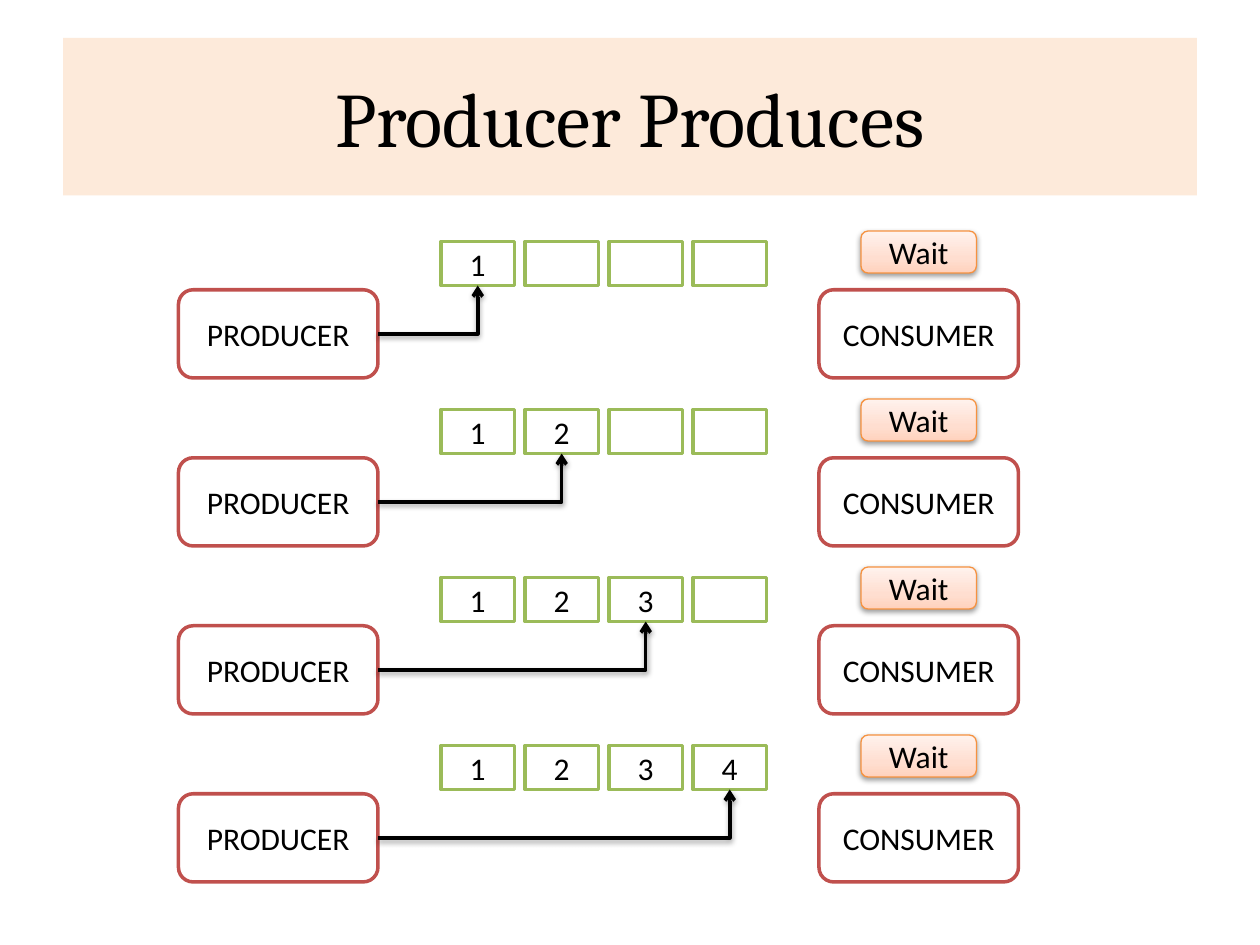
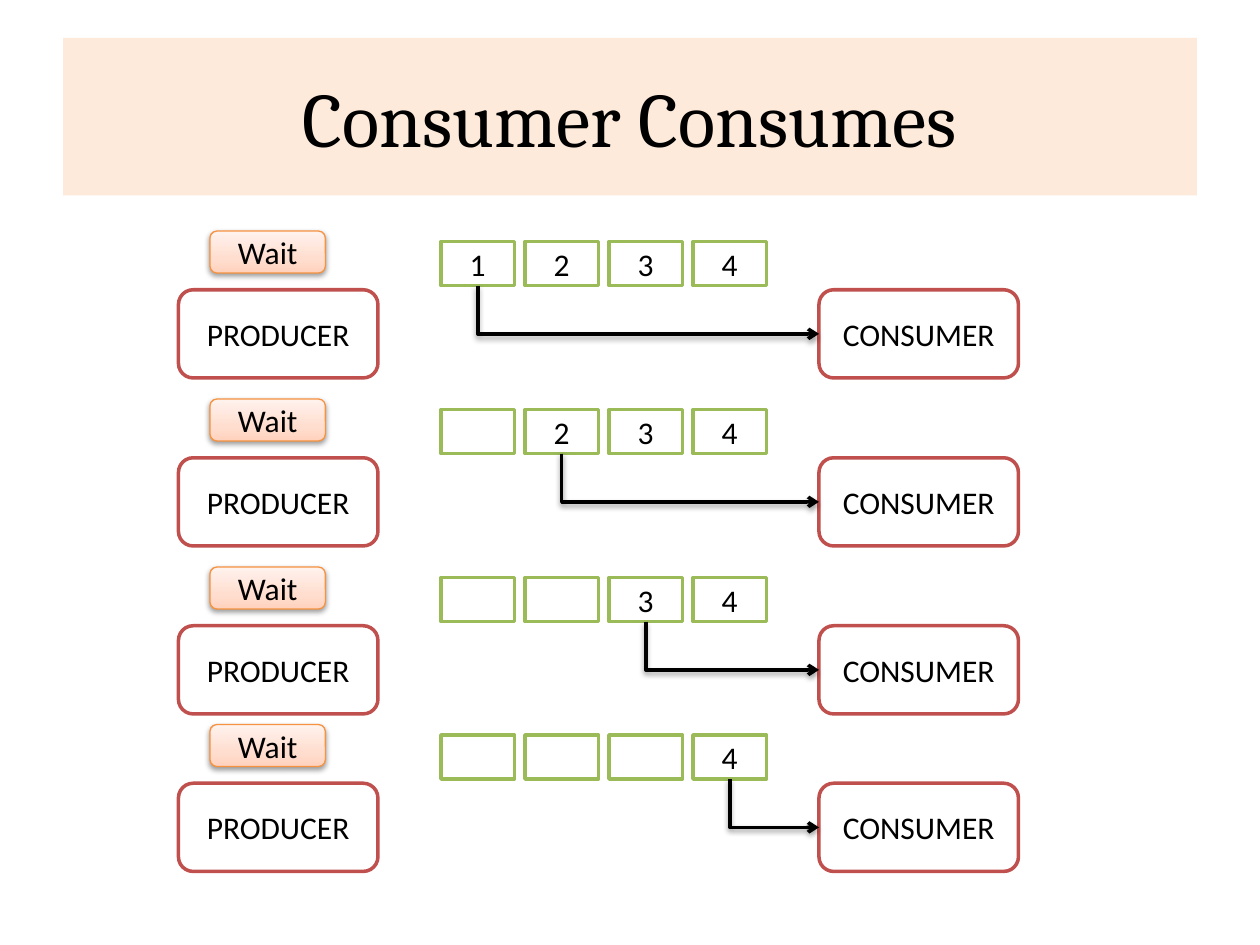
from dataclasses import dataclass

from lxml import etree
from pptx import Presentation
from pptx.dml.color import RGBColor
from pptx.enum.shapes import MSO_CONNECTOR, MSO_SHAPE
from pptx.enum.text import MSO_ANCHOR, PP_ALIGN
from pptx.oxml import parse_xml
from pptx.oxml.ns import qn
from pptx.util import Emu, Pt

RECT = MSO_SHAPE.RECTANGLE
ROUND = MSO_SHAPE.ROUNDED_RECTANGLE
ELBOW = MSO_CONNECTOR.ELBOW
CENTER = PP_ALIGN.CENTER
MIDDLE = MSO_ANCHOR.MIDDLE
BOTTOM, LEFT, RIGHT = 2, 1, 3  # connection sites
TITLE_ONLY = 5  # layout index
NS = 'xmlns:a="http://schemas.openxmlformats.org/drawingml/2006/main"'


@dataclass(frozen=True)
class Theme:
    title_font: str = "Cambria"
    body_font: str = "Calibri"
    title_size: int = 44
    body_size: int = 18
    text: str = "000000"
    paper: str = "FFFFFF"
    band: str = "FDEADA"
    actor: str = "C0504D"
    slot: str = "9BBB59"
    wait: str = "F69240"
    wait_stops: tuple = ((0, "FFD2BD"), (35, "FFDED0"), (100, "FFF2ED"))
    line: float = 2
    thin: float = 0.75


def px(n):
    """120 px to the inch."""
    return Emu(n * 7620)


def rgb(value):
    return RGBColor.from_string(value)


class Deck:
    def __init__(self, theme):
        self.theme = theme
        self.prs = Presentation()
        self.prs.slide_width, self.prs.slide_height = px(1200), px(900)
        self.s = None
        self.group = None

    def slide(self, title):
        t = self.theme
        self.s = self.prs.slides.add_slide(self.prs.slide_layouts[TITLE_ONLY])
        sp = self.s.shapes.title
        sp.left, sp.top, sp.width, sp.height = map(px, (60, 36, 1080, 150))
        sp.fill.solid()
        sp.fill.fore_color.rgb = rgb(t.band)
        self.label(sp, title, t.title_font, t.title_size)

    def start_group(self):
        self.group = self.s.shapes.add_group_shape().shapes

    def label(self, sp, text, font, size):
        tf = sp.text_frame
        tf.word_wrap = True
        tf.vertical_anchor = MIDDLE
        p = tf.paragraphs[0]
        p.text = text
        p.alignment = CENTER
        p.font.name, p.font.size = font, Pt(size)
        p.font.color.rgb = rgb(self.theme.text)

    def box(self, kind, x, y, w, h, text, color, width):
        t = self.theme
        sp = self.group.add_shape(kind, px(x), px(y), px(w), px(h))
        sp.shadow.inherit = False
        sp.fill.solid()
        sp.fill.fore_color.rgb = rgb(t.paper)
        sp.line.color.rgb = rgb(color)
        sp.line.width = Pt(width)
        if text:
            self.label(sp, text, t.body_font, t.body_size)
        return sp

    def actor(self, x, y, text):
        return self.box(ROUND, x, y, 190, 84, text, self.theme.actor, self.theme.line)

    def slot(self, x, y, text):
        return self.box(RECT, x, y, 70, 42, text, self.theme.slot, self.theme.line)

    def wait(self, x, y):
        t = self.theme
        sp = self.box(ROUND, x, y, 110, 40, "Wait", t.wait, t.thin)
        stops = "".join(f'<a:gs pos="{pos * 1000}"><a:srgbClr val="{color}"/></a:gs>'
                        for pos, color in t.wait_stops)
        gradient = parse_xml(f'<a:gradFill {NS} rotWithShape="1"><a:gsLst>{stops}</a:gsLst>'
                             '<a:lin ang="16200000" scaled="0"/></a:gradFill>')
        spPr = sp._element.spPr
        spPr.replace(spPr.find(qn("a:solidFill")), gradient)
        self.cast_shadow(spPr)

    def cast_shadow(self, spPr):
        effects = spPr.find(qn("a:effectLst"))
        if effects is None:
            effects = etree.SubElement(spPr, qn("a:effectLst"))
        effects.append(parse_xml(
            f'<a:outerShdw {NS} blurRad="40000" dist="20000" dir="5400000" rotWithShape="0">'
            '<a:srgbClr val="000000"><a:alpha val="38000"/></a:srgbClr></a:outerShdw>'))

    def arrow(self, start, start_site, end, end_site):
        """One-bend arrow that joins two boxes."""
        cxn = self.group.add_connector(ELBOW, 0, 0, 0, 0)
        cxn.begin_connect(start, start_site)
        cxn.end_connect(end, end_site)
        spPr = cxn._element.spPr
        spPr.find(qn("a:prstGeom")).set("prst", "bentConnector2")
        if start_site == BOTTOM:  # leaves downwards: turn the box about its centre
            x, y, w, h = cxn.left, cxn.top, cxn.width, cxn.height
            cxn.left, cxn.top = x + (w - h) // 2, y + (h - w) // 2
            cxn.width, cxn.height = h, w
            xfrm = spPr.find(qn("a:xfrm"))
            xfrm.set("rot", "16200000")
            xfrm.set("flipH", "1")
        cxn.line.color.rgb = rgb(self.theme.text)
        cxn.line.width = Pt(self.theme.line)
        etree.SubElement(spPr.find(qn("a:ln")), qn("a:tailEnd"), type="arrow")
        self.cast_shadow(spPr)

    def step(self, top, active, producing):
        """One row: producer, four-slot buffer and consumer."""
        self.start_group()
        producer = self.actor(170, top + 56, "PRODUCER")
        consumer = self.actor(780, top + 56, "CONSUMER")
        slots = []
        for i in range(4):
            filled = i <= active if producing else i >= active
            slots.append(self.slot(420 + 80 * i, top + 10, str(i + 1) if filled else ""))
        if producing:
            self.arrow(producer, RIGHT, slots[active], BOTTOM)
        else:
            self.arrow(slots[active], BOTTOM, consumer, LEFT)
        self.wait(820 if producing else 200, top)


def main():
    deck = Deck(Theme())
    # Title, direction of work and top of each row
    for title, producing, tops in (
        ("Producer Produces", True, (220, 380, 540, 700)),
        ("Consumer Consumes", False, (220, 380, 540, 690)),
    ):
        deck.slide(title)
        for active, top in enumerate(tops):
            deck.step(top, active, producing)
    deck.prs.save("out.pptx")


if __name__ == "__main__":
    main()
